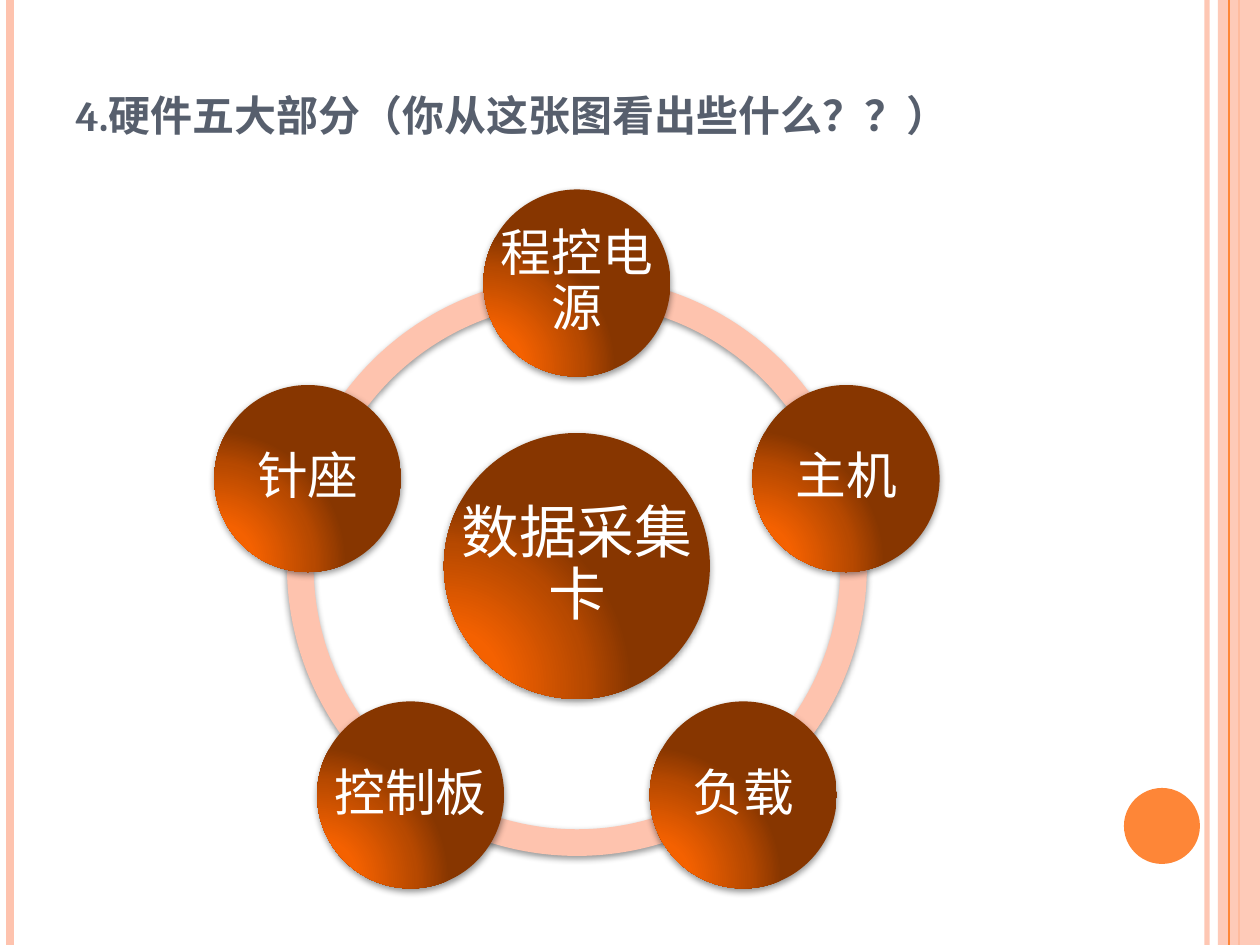
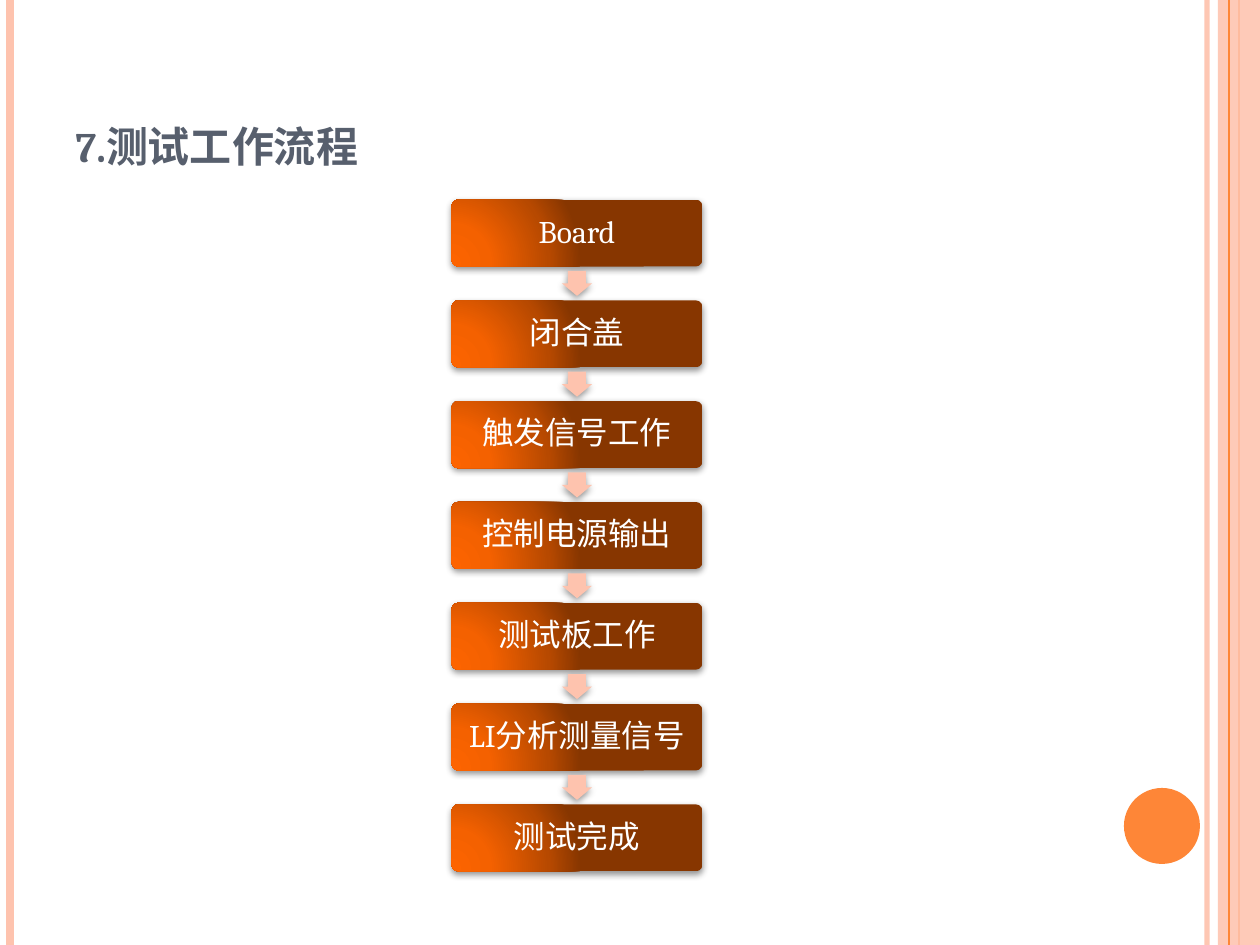
from dataclasses import dataclass
from math import cos, radians, sin

from lxml import etree
from pptx import Presentation
from pptx import util as u
from pptx.dml.color import RGBColor
from pptx.enum import shapes as s, text as t
from pptx.oxml import parse_xml
from pptx.oxml.ns import nsdecls, qn

SCALE = u.Inches(1) / 126
FONT = "Cambria"
PEACH, ORANGE, SLATE, WHITE = "FEC3AE", "FE8637", "575F6D", "FFFFFF"
GLOW = [(0, "FD6400"), (30, "F46100"), (75, "B74900"), (100, "873600")]
MID = 577  # centre line of both diagrams


@dataclass
class Box:
    x: float
    y: float
    w: float
    h: float

    def emu(self) -> list[int]:
        return [px(v) for v in (self.x, self.y, self.w, self.h)]


@dataclass
class Rule:
    x: int
    width: float
    hue: str
    alpha: int = 100


def px(n: float) -> int:
    return round(n * SCALE)


def color(code: str) -> RGBColor:
    return RGBColor.from_string(code)


def around(x: float, y: float, w: int, h: int) -> Box:
    return Box(x - w / 2, y - h / 2, w, h)


# Shapes and their finish
def fade(shape, alpha: int) -> None:
    for rgb in shape.element.iter(qn("a:srgbClr")):
        etree.SubElement(rgb, qn("a:alpha"), val=str(alpha * 1000))


def draw(slide, kind, box: Box, hue: str):
    shape = slide.shapes.add_shape(kind, *box.emu())
    shape.fill.solid()
    shape.fill.fore_color.rgb = color(hue)
    shape.line.fill.background()
    shape.shadow.inherit = False
    return shape


def shade(shape) -> None:
    effects = shape.element.spPr.find(qn("a:effectLst"))
    effects.append(parse_xml(
        f'<a:outerShdw {nsdecls("a")} blurRad="50800" dist="20000" dir="5400000" '
        'rotWithShape="0"><a:srgbClr val="000000"><a:alpha val="42000"/>'
        '</a:srgbClr></a:outerShdw>'))


def glow(shape) -> None:
    stops = "".join(f'<a:gs pos="{pos * 1000}"><a:srgbClr val="{hue}"/></a:gs>'
                    for pos, hue in GLOW)
    props = shape.element.spPr
    props.replace(props.find(qn("a:solidFill")), parse_xml(
        f'<a:gradFill {nsdecls("a")} rotWithShape="1"><a:gsLst>{stops}</a:gsLst>'
        '<a:path path="circle"><a:fillToRect l="5000" t="100000" r="120000" '
        'b="10000"/></a:path></a:gradFill>'))


def style(para, size: int, hue: str, bold: bool = False) -> None:
    for run in para.runs:
        run.font.name, run.font.size = FONT, u.Pt(size)
        run.font.bold, run.font.color.rgb = bold, color(hue)


def node(slide, kind, box: Box, label: str, size: int, inset: int):
    """Glowing shape with a label that may use its full width."""
    shape = draw(slide, kind, box, ORANGE)
    glow(shape)
    shade(shape)
    frame = slide.shapes.add_textbox(*box.emu()).text_frame
    frame.text = label
    frame.word_wrap = True
    frame.vertical_anchor = t.MSO_ANCHOR.MIDDLE
    frame.margin_left = frame.margin_right = px(inset)
    frame.margin_top = frame.margin_bottom = px(inset)
    para = frame.paragraphs[0]
    para.alignment, para.line_spacing = t.PP_ALIGN.CENTER, 0.9
    style(para, size, WHITE)
    return shape


# Shared frame and title
def rule(slide, spec: Rule):
    line = slide.shapes.add_connector(
        s.MSO_CONNECTOR.STRAIGHT, px(spec.x), 0, px(spec.x), px(945))
    line.line.width = u.Pt(spec.width)
    line.line.color.rgb = color(spec.hue)
    etree.SubElement(line.element.spPr, qn("a:effectLst"))
    if spec.alpha < 100:
        fade(line, spec.alpha)
    return line


def trim(slide, layout) -> None:
    """Draw the side bands and move them to the layout."""
    parts = [rule(slide, spec) for spec in (
        Rule(1207, 3, PEACH, 93), Rule(10, 4.5, PEACH), Rule(1239, 1.5, ORANGE))]
    band = draw(slide, s.MSO_SHAPE.RECTANGLE, Box(1218, 0, 42, 945), PEACH)
    fade(band, 87)
    parts += [band, rule(slide, Rule(1229, 0.75, ORANGE)),
              draw(slide, s.MSO_SHAPE.OVAL, Box(1124, 788, 76, 76), ORANGE)]
    for num, part in enumerate(parts, 20):
        next(part.element.iter(qn("p:cNvPr"))).set("id", str(num))
        layout.shapes.element.append(part.element)


def head(slide, label: str, box: Box) -> None:
    title = slide.shapes.title
    title.left, title.top, title.width, title.height = box.emu()
    frame = title.text_frame
    frame.text = label
    frame.word_wrap = True
    frame.auto_size = t.MSO_AUTO_SIZE.NONE
    frame.vertical_anchor = t.MSO_ANCHOR.BOTTOM
    para = frame.paragraphs[0]
    para.alignment = t.PP_ALIGN.LEFT
    style(para, 30, SLATE, bold=True)
    para.runs[0].font._element.set("cap", "small")


# Slide 1: five parts around the card
def wheel(slide) -> None:
    head(slide, "4.硬件五大部分（你从这张图看出些什么？？）", Box(63, 38, 1092, 110))
    names = ["程控电源", "主机", "负载", "控制板", "针座"]
    hub, reach, step = 566, 283, 360 // len(names)
    turns = [(270 + step * i) % 360 for i in range(len(names))]
    for turn in turns:
        arc = draw(slide, s.MSO_SHAPE.BLOCK_ARC, around(MID, hub, 580, 580), PEACH)
        # Angles are stored in 1/60000 degree, adjustments in 1/100000
        arc.adjustments[0] = turn * 0.6
        arc.adjustments[1] = (turn + step) % 360 * 0.6
        arc.adjustments[2] = 0.046
        shade(arc)
    node(slide, s.MSO_SHAPE.OVAL, around(MID, hub, 266, 266), "数据采集卡", 33, 6)
    for name, turn in zip(names, turns):
        x = MID + reach * cos(radians(turn))
        y = hub + reach * sin(radians(turn))
        node(slide, s.MSO_SHAPE.OVAL, around(x, y, 187, 187), name, 29, 5)


# Slide 2: test steps from top to bottom
def flow(slide) -> None:
    head(slide, "7.测试工作流程", Box(63, 38, 1029, 141))
    steps = ["Board", "闭合盖", "触发信号工作", "控制电源输出",
             "测试板工作", "LI分析测量信号", "测试完成"]
    first, pitch = 233, 100.8
    for i, step in enumerate(steps):
        y = first + i * pitch
        if i:
            arrow = draw(slide, s.MSO_SHAPE.RIGHT_ARROW,
                         around(MID, y - pitch / 2, 25, 30), PEACH)
            arrow.rotation = 90
            arrow.adjustments[0] = 0.6
            shade(arrow)
        card = node(slide, s.MSO_SHAPE.ROUNDED_RECTANGLE,
                    around(MID, y, 251, 67), step, 18, 5)
        card.adjustments[0] = 0.1


def main() -> None:
    deck = Presentation()
    deck.slide_width, deck.slide_height = px(1260), px(945)
    layout = deck.slide_layouts[5]
    for i, build in enumerate((wheel, flow)):
        slide = deck.slides.add_slide(layout)
        if i == 0:
            trim(slide, layout)
        build(slide)
    deck.save("out.pptx")


if __name__ == "__main__":
    main()
